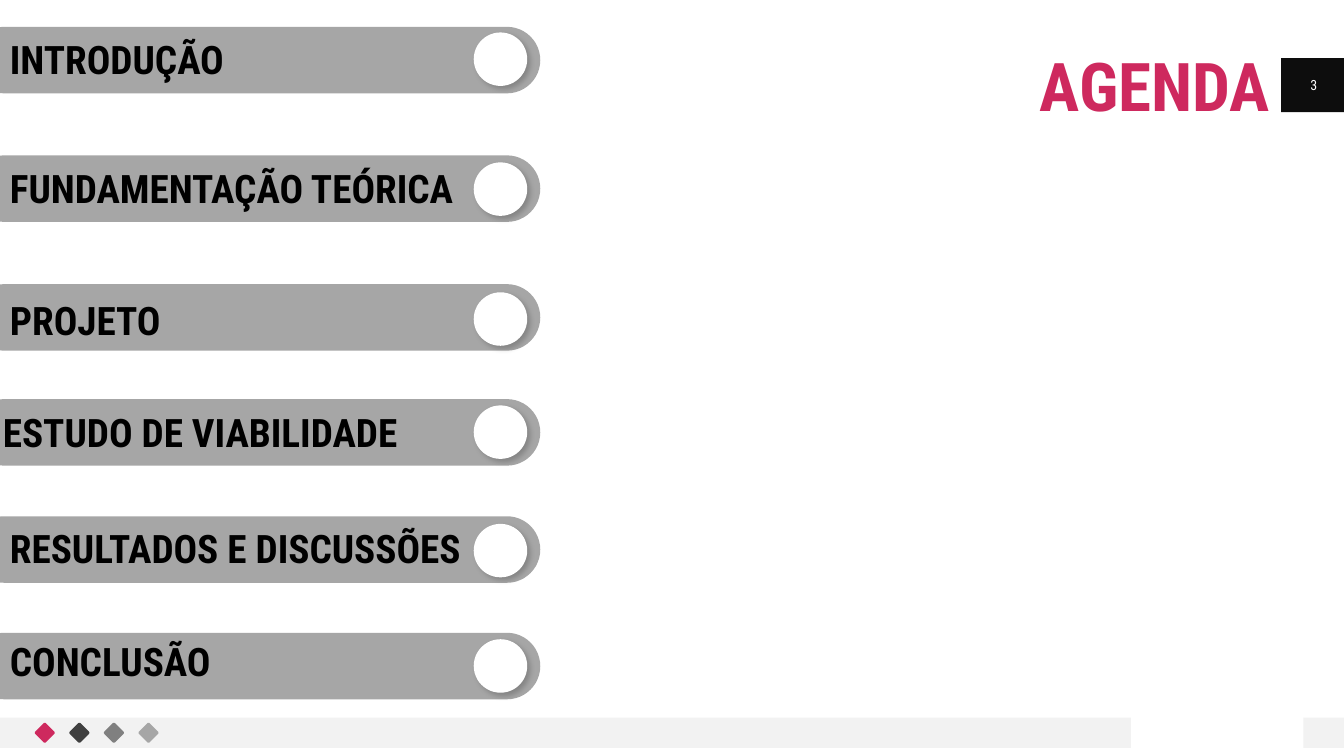
from pptx import Presentation
from pptx.dml.color import RGBColor
from pptx.enum.shapes import MSO_SHAPE
from pptx.enum.text import MSO_ANCHOR, PP_ALIGN
from pptx.oxml import parse_xml
from pptx.util import Pt

RECT, ROUND, OVAL = MSO_SHAPE.RECTANGLE, MSO_SHAPE.ROUNDED_RECTANGLE, MSO_SHAPE.OVAL
LEFT, CENTER, RIGHT = PP_ALIGN.LEFT, PP_ALIGN.CENTER, PP_ALIGN.RIGHT
TOP, MIDDLE = MSO_ANCHOR.TOP, MSO_ANCHOR.MIDDLE
BLACK, WHITE = RGBColor(0, 0, 0), RGBColor(255, 255, 255)
PINK, INK = RGBColor(0xCE, 0x29, 0x5E), RGBColor(0x0D, 0x0D, 0x0D)
DARK, MID = RGBColor(0x40, 0x40, 0x40), RGBColor(0x80, 0x80, 0x80)
GRAY, PALE = RGBColor(0xA6, 0xA6, 0xA6), RGBColor(0xF2, 0xF2, 0xF2)
FONT = "Roboto Condensed"

# Content: label, bar top, knob top, text left, text top, text width
TOPICS = [
    ("INTRODUÇÃO", 19.2, 23.2, 0, 21.6, 330.5),
    ("FUNDAMENTAÇÃO TEÓRICA", 111, 116, 0, 113.8, 338.4),
    ("PROJETO", 203, 208.8, 0, 208.1, 312.5),
    ("ESTUDO DE VIABILIDADE", 285.1, 289.6, -5, 288, 336.2),
    ("RESULTADOS E DISCUSSÕES", 368.8, 374.2, 0, 370.8, 367.2),
    ("CONCLUSÃO", 452, 456.6, 0, 451.4, 309.6),
]
PANELS = [(0, 512.6, 807.8, 21.6, PALE), (915.1, 41.6, 44.9, 38.6, INK),
          (915.1 + 16, 512.6, 28.9, 21.6, PALE)]
DIAMONDS = [PINK, DARK, MID, GRAY]

# Sizes
BAR_LEFT, BAR_W, BAR_H = -20.9, 406.8, 47.5
KNOB_LEFT, KNOB = 338.4, 38.2
DIAMOND_LEFT, DIAMOND_TOP, DIAMOND, DIAMOND_STEP = 26.6, 518, 10.8, 24.7

KNOB_SHADOW = (
    '<a:effectLst xmlns:a="http://schemas.openxmlformats.org/drawingml/2006/main">'
    '<a:outerShdw blurRad="50800" dist="38100" dir="2700000" algn="tl" rotWithShape="0">'
    '<a:srgbClr val="000000"><a:alpha val="20000"/></a:srgbClr>'
    '</a:outerShdw></a:effectLst>')

prs = Presentation()
prs.slide_width, prs.slide_height = Pt(960), Pt(540)
s = prs.slides.add_slide(prs.slide_layouts[5])


def add_shape(kind, x, y, w, h, color):
    sp = s.shapes.add_shape(kind, Pt(x), Pt(y), Pt(w), Pt(h))
    sp.shadow.inherit = False
    sp.fill.solid()
    sp.fill.fore_color.rgb = color
    sp.line.fill.background()
    return sp


def write(sp, text, size, color, bold=False, align=LEFT, anchor=TOP):
    tf = sp.text_frame
    tf.word_wrap = True
    tf.vertical_anchor = anchor
    p = tf.paragraphs[0]
    p.alignment = align
    r = p.add_run()
    r.text = text
    r.font.name, r.font.size = FONT, Pt(size)
    r.font.bold, r.font.color.rgb = bold, color
    return tf


def add_text(text, x, y, w, h, **fmt):
    write(s.shapes.add_textbox(Pt(x), Pt(y), Pt(w), Pt(h)), text, **fmt)


# Footer bands and page number block
for panel in PANELS:
    add_shape(RECT, *panel)
add_text("3", 921.6, 46.1, 33.8, 28.8, size=10, color=WHITE, align=CENTER, anchor=MIDDLE)

# Footer diamonds
for i, color in enumerate(DIAMONDS):
    sp = add_shape(ROUND, DIAMOND_LEFT + i * DIAMOND_STEP, DIAMOND_TOP, DIAMOND, DIAMOND, color)
    sp.adjustments[0] = 0.11
    sp.rotation = 315

# Title
title = s.shapes.title
title.left, title.top, title.width, title.height = Pt(79.2), Pt(38.2), Pt(828), Pt(52.6)
tf = write(title, "AGENDA", 48, PINK, bold=True, align=RIGHT)
tf.margin_left = tf.margin_top = tf.margin_right = tf.margin_bottom = 0
tf.paragraphs[0].line_spacing = 0.9

# Agenda bars with knobs and labels
for label, bar_top, knob_top, x, y, w in TOPICS:
    bar = add_shape(ROUND, BAR_LEFT, bar_top, BAR_W, BAR_H, GRAY)
    bar.adjustments[0] = 0.5
    knob = add_shape(OVAL, KNOB_LEFT, knob_top, KNOB, KNOB, WHITE)
    spPr = knob.element.spPr
    spPr.replace(spPr[-1], parse_xml(KNOB_SHADOW))
    add_text(label, x, y, w, 41, size=28, color=BLACK, bold=True)

prs.save("out.pptx")
